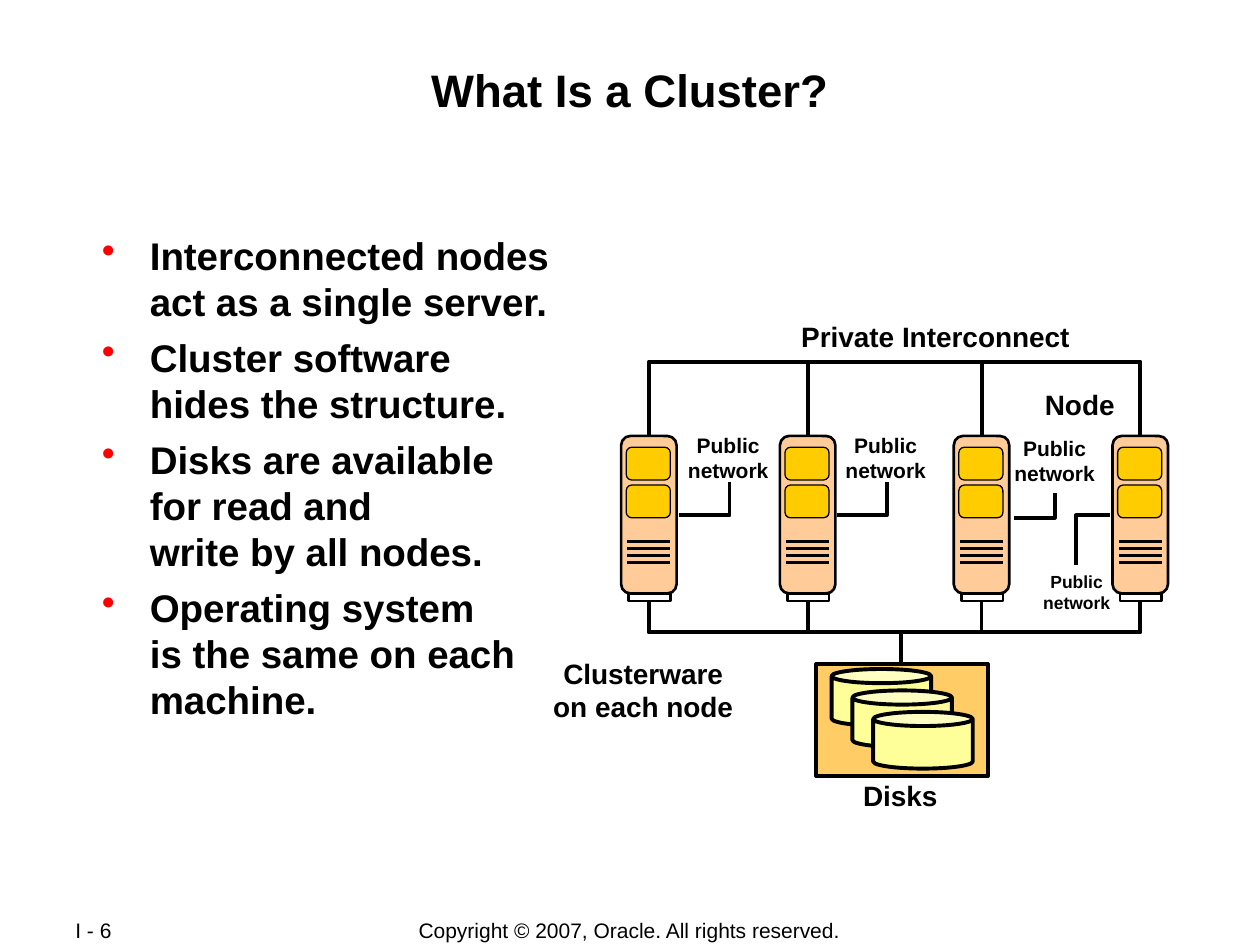
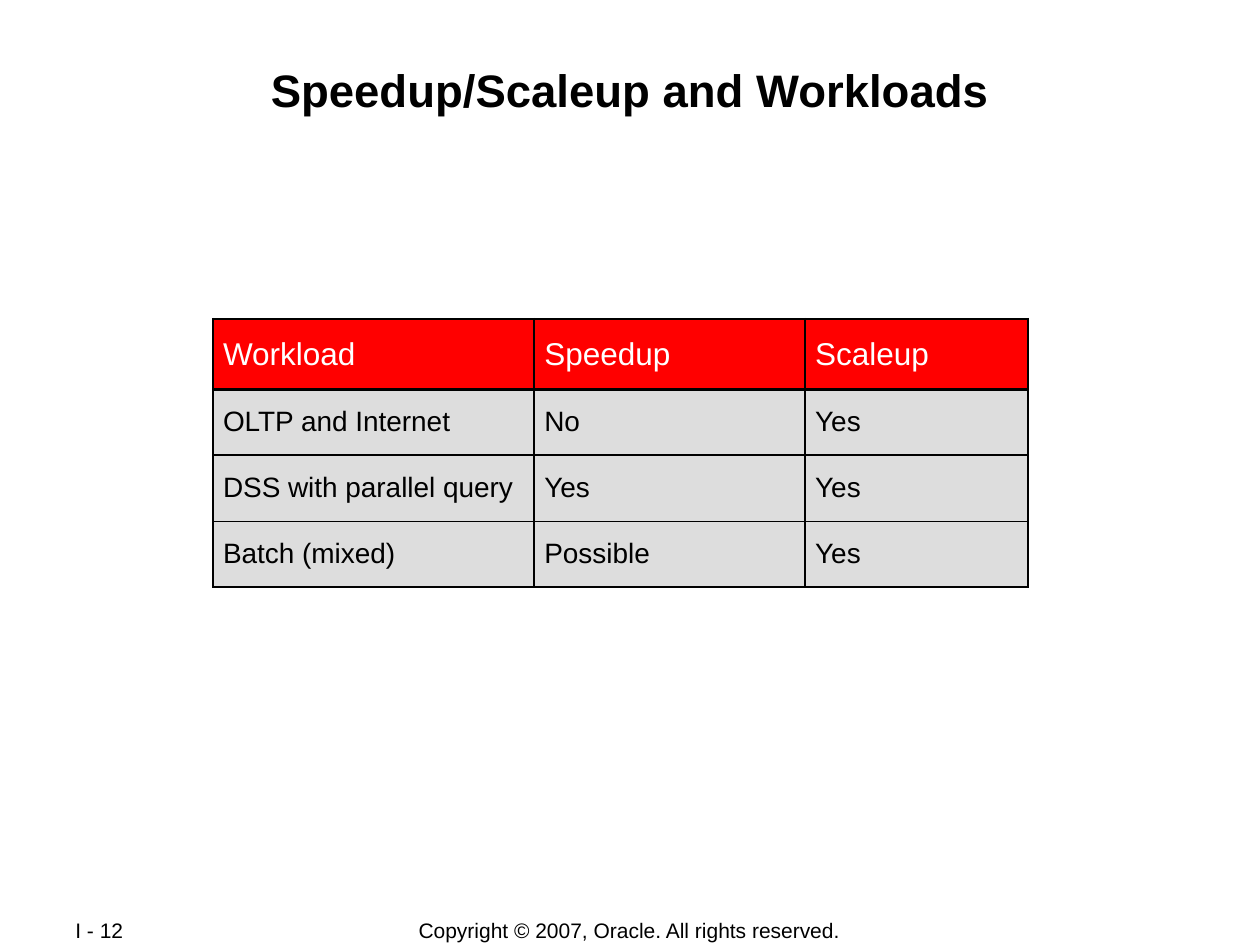
from dataclasses import dataclass

from lxml.etree import SubElement
from pptx import Presentation
from pptx.dml.color import RGBColor
from pptx.enum.shapes import MSO_CONNECTOR, MSO_SHAPE
from pptx.enum.text import MSO_ANCHOR, PP_ALIGN
from pptx.oxml.ns import qn
from pptx.util import Inches, Pt


@dataclass(frozen=True)
class Theme:
    font: str = "Arial"
    black: str = "000000"
    white: str = "FFFFFF"
    red: str = "FF0000"
    row_grey: str = "DDDDDD"
    server: str = "FFCC99"
    panel: str = "FFCC00"
    storage: str = "FFCC66"
    disk: str = "FFFF99"
    title_size: float = 26
    body_size: float = 22
    header_size: float = 18
    label_size: float = 16
    small_size: float = 12
    tiny_size: float = 10
    wire: float = 2.25
    outline: float = 1.5
    fine: float = 0.75
    cell_border: float = 1.08
    header_border: float = 2.21


@dataclass(frozen=True)
class Box:
    """A rectangle in inches."""
    left: float
    top: float
    width: float
    height: float

    def inner(self, x, y, width, height):
        return Box(self.left + x, self.top + y, width, height)

    def point(self, x, y):
        return self.left + x, self.top + y

    def lengths(self):
        return [Inches(value) for value in (self.left, self.top, self.width, self.height)]


THEME = Theme()
TITLE_BOX = Box(0.67, 0.48, 8.66, 0.96)
BODY_BOX = Box(0.67, 1.83, 8.66, 3.92)
DIAGRAM_BOX = Box(4, 2, 6, 4.5)
TABLE_BOX = Box(1.69, 2.53, 6.47, 2.14)
PAGE_BOX = Box(0.5, 7.28, 1.06, 0.2)
COPYRIGHT_BOX = Box(2.75, 7.28, 4.49, 0.21)

BULLETS = [
    "Interconnected nodes\nact as a single server.",
    "Cluster software\nhides the structure.",
    "Disks are available\nfor read and\nwrite by all nodes.",
    "Operating system\nis the same on each\nmachine.",
]
WORKLOADS = [
    ["Workload", "Speedup", "Scaleup"],
    ["OLTP and Internet", "No", "Yes"],
    ["DSS with parallel query", "Yes", "Yes"],
    ["Batch (mixed)", "Possible", "Yes"],
]


def style_runs(paragraph, size, bold=False, color=THEME.black):
    for run in paragraph.runs:
        run.font.name = THEME.font
        run.font.size = Pt(size)
        run.font.bold = bold
        run.font.color.rgb = RGBColor.from_string(color)


def add_text(slide, box, text, size, bold=True, align=PP_ALIGN.LEFT,
             wrap=False, margins=(0.1, 0.05)):
    text_frame = slide.shapes.add_textbox(*box.lengths()).text_frame
    text_frame.word_wrap = wrap
    text_frame.margin_left = text_frame.margin_right = Inches(margins[0])
    text_frame.margin_top = text_frame.margin_bottom = Inches(margins[1])
    paragraph = text_frame.paragraphs[0]
    paragraph.text = text
    paragraph.alignment = align
    style_runs(paragraph, size, bold)
    return text_frame


def add_shape(slide, kind, box, fill=None, line_width=THEME.outline, adjustment=None):
    shape = slide.shapes.add_shape(kind, *box.lengths())
    shape.shadow.inherit = False
    if fill:
        shape.fill.solid()
        shape.fill.fore_color.rgb = RGBColor.from_string(fill)
    else:
        shape.fill.background()
    shape.line.color.rgb = RGBColor.from_string(THEME.black)
    shape.line.width = Pt(line_width)
    if adjustment is not None:
        shape.adjustments[0] = adjustment


def add_line(slide, start, end, width=THEME.wire, corner=False):
    """Draw a line; with a corner it runs across first, then up or down."""
    kind = MSO_CONNECTOR.ELBOW if corner else MSO_CONNECTOR.STRAIGHT
    connector = slide.shapes.add_connector(kind, *map(Inches, start + end))
    connector.line.color.rgb = RGBColor.from_string(THEME.black)
    connector.line.width = Pt(width)
    properties = connector._element.spPr
    if corner:
        properties.find(qn("a:prstGeom")).set("prst", "bentConnector2")
    SubElement(properties, qn("a:effectLst"))


def add_frame(slide, title, page):
    """Add the title and footers that every slide carries."""
    add_text(slide, TITLE_BOX, title, THEME.title_size, align=PP_ALIGN.CENTER,
             wrap=True, margins=(0.01, 0.01))
    footers = [
        (PAGE_BOX, page, PP_ALIGN.LEFT),
        (COPYRIGHT_BOX, "Copyright © 2007, Oracle. All rights reserved.", PP_ALIGN.CENTER),
    ]
    for box, text, align in footers:
        text_frame = add_text(slide, box, text, THEME.small_size, False, align, wrap=True)
        text_frame.vertical_anchor = MSO_ANCHOR.MIDDLE


def add_bullets(slide, box, items):
    text_frame = add_text(slide, box, items[0], THEME.body_size, wrap=True, margins=(0.01, 0.01))
    for item in items[1:]:
        paragraph = text_frame.add_paragraph()
        paragraph.text = item
        paragraph.space_before = Pt(5.5)
        style_runs(paragraph, THEME.body_size, True)
    for paragraph in text_frame.paragraphs:
        properties = paragraph._p.get_or_add_pPr()
        properties.set("marL", str(Inches(0.51)))
        properties.set("indent", str(Inches(-0.38)))
        color = SubElement(properties, qn("a:buClr"))
        SubElement(color, qn("a:srgbClr"), val=THEME.red)
        SubElement(properties, qn("a:buChar"), char="•")


def add_server(slide, box):
    rounded = MSO_SHAPE.ROUNDED_RECTANGLE
    add_shape(slide, rounded, box, THEME.server, adjustment=0.167)
    for row in range(4):
        y = 0.84 + 0.055 * row
        add_line(slide, box.point(0.05, y), box.point(0.39, y), THEME.outline)
    add_shape(slide, MSO_SHAPE.RECTANGLE, box.inner(0.06, box.height, 0.33, 0.06))
    for y in (0.09, 0.39):
        add_shape(slide, rounded, box.inner(0.04, y, 0.35, 0.26), THEME.panel,
                  THEME.fine, 0.167)


def add_storage(slide, box):
    add_shape(slide, MSO_SHAPE.RECTANGLE, box, THEME.storage, THEME.wire)
    for index in range(3):
        disk_box = box.inner(0.12 + 0.165 * index, 0.04 + 0.17 * index, 0.79, 0.45)
        add_shape(slide, MSO_SHAPE.CAN, disk_box, THEME.disk, THEME.wire, 0.25)


def add_public_networks(slide, box):
    # server port, label end of the wire, label box, type size
    networks = [
        ((1.39, 2.09), (1.79, 1.83), (1.36, 1.38, 0.84, 0.5), THEME.small_size),
        ((2.64, 2.09), (3.04, 1.83), (2.61, 1.38, 0.84, 0.5), THEME.small_size),
        ((4.05, 2.11), (4.37, 1.91), (3.95, 1.41, 0.84, 0.5), THEME.small_size),
        ((4.81, 2.09), (4.54, 2.48), (4.18, 2.48, 0.73, 0.44), THEME.tiny_size),
    ]
    for port, end, label, size in networks:
        add_line(slide, box.point(*port), box.point(*end), corner=True)
        add_text(slide, box.inner(*label), "Public\nnetwork", size, align=PP_ALIGN.CENTER)


def add_cluster_diagram(slide, box):
    server_centers = (1.15, 2.41, 3.79, 5.05)
    server_top, server_width, server_height = 1.46, 0.44, 1.25
    interconnect_hub, storage_hub = (3.1, 0.87), (3.15, 3.02)

    add_storage(slide, box.inner(2.48, 3.27, 1.36, 0.89))
    add_line(slide, box.point(*storage_hub), box.point(storage_hub[0], 3.27))
    for center in server_centers:
        add_server(slide, box.inner(center - server_width / 2, server_top,
                                    server_width, server_height))
        for hub, port_y in ((interconnect_hub, server_top), (storage_hub, 2.78)):
            add_line(slide, box.point(*hub), box.point(center, port_y), corner=True)
    add_public_networks(slide, box)

    labels = [
        ("Node", (4.19, 1.03, 0.76, 0.37)),
        ("Disks", (2.75, 4.13, 0.79, 0.37)),
        ("Private Interconnect", (2.26, 0.49, 2.33, 0.37)),
        ("Clusterware\non each node", (0.29, 3.16, 1.63, 0.63)),
    ]
    for text, place in labels:
        add_text(slide, box.inner(*place), text, THEME.label_size, align=PP_ALIGN.CENTER)


def add_cell_borders(cell, widths):
    """Draw the left, right, top and bottom border, in that order."""
    properties = cell._tc.get_or_add_tcPr()
    for side, width in zip("LRTB", widths):
        line = SubElement(properties, qn(f"a:ln{side}"), w=str(Pt(width)))
        fill = SubElement(line, qn("a:solidFill"))
        SubElement(fill, qn("a:srgbClr"), val=THEME.black)


def add_workload_table(slide, box, rows):
    table = slide.shapes.add_table(len(rows), len(rows[0]), *box.lengths()).table
    table.first_row = table.horz_banding = False
    for column, width in zip(table.columns, (2.55, 2.15, 1.77)):
        column.width = Inches(width)
    for row, height in zip(table.rows, (0.56, 0.52, 0.53, 0.52)):
        row.height = Inches(height)

    thin, thick = THEME.cell_border, THEME.header_border
    for row_index, values in enumerate(rows):
        is_header = row_index == 0
        top = thick if row_index == 1 else thin
        bottom = thick if is_header else thin
        for column_index, value in enumerate(values):
            cell = table.cell(row_index, column_index)
            cell.margin_left = cell.margin_right = Inches(0.08)
            cell.margin_top = cell.margin_bottom = Inches(0.05)
            add_cell_borders(cell, (thin, thin, top, bottom))
            cell.fill.solid()
            cell.fill.fore_color.rgb = RGBColor.from_string(
                THEME.red if is_header else THEME.row_grey)
            paragraph = cell.text_frame.paragraphs[0]
            paragraph.text = value
            paragraph.line_spacing = 1.35
            style_runs(paragraph, THEME.header_size if is_header else THEME.label_size,
                       color=THEME.white if is_header else THEME.black)


def build_cluster_slide(slide):
    add_frame(slide, "What Is a Cluster?", "I - 6")
    add_bullets(slide, BODY_BOX, BULLETS)
    add_cluster_diagram(slide, DIAGRAM_BOX)


def build_workload_slide(slide):
    add_frame(slide, "Speedup/Scaleup and Workloads", "I - 12")
    add_workload_table(slide, TABLE_BOX, WORKLOADS)


def main():
    presentation = Presentation()
    presentation.slide_width = Inches(10)
    presentation.slide_height = Inches(7.5)
    blank_layout = presentation.slide_layouts[6]
    for build_slide in (build_cluster_slide, build_workload_slide):
        build_slide(presentation.slides.add_slide(blank_layout))
    presentation.save("out.pptx")


if __name__ == "__main__":
    main()
